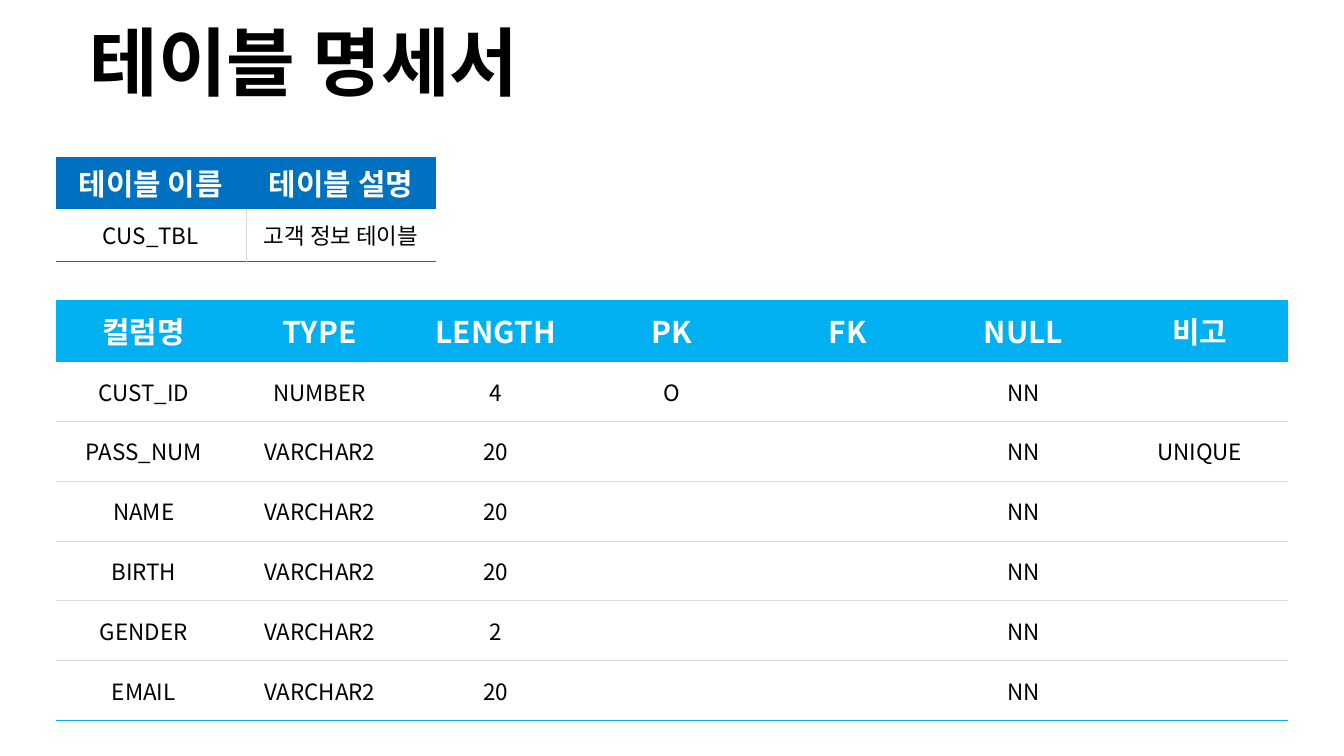
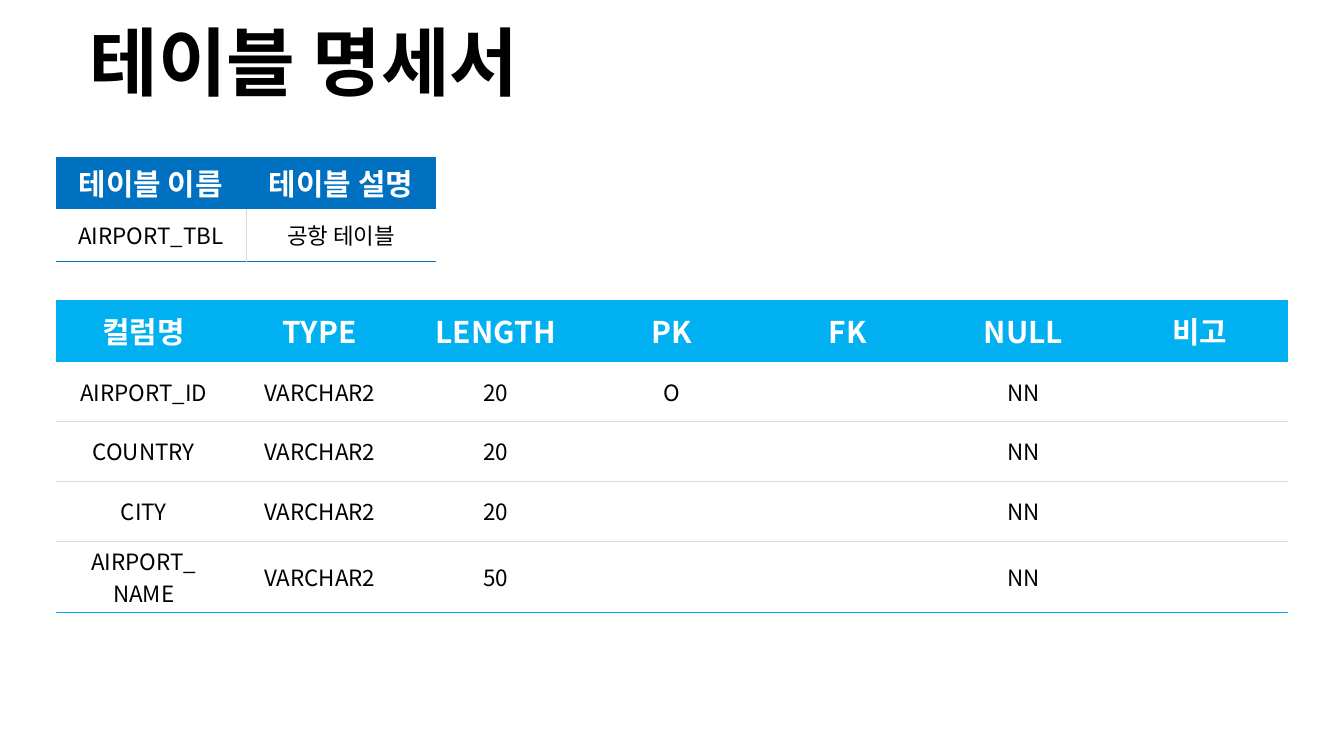
from pptx import Presentation
from pptx.dml.color import RGBColor
from pptx.enum.text import MSO_ANCHOR, MSO_AUTO_SIZE, PP_ALIGN
from pptx.oxml.ns import qn
from pptx.util import Inches, Pt
from lxml.etree import SubElement

FONT = "Noto Sans CJK KR"
COLORS = {"text": "000000", "header_text": "FFFFFF", "summary": "0070C0",
          "columns": "00B0F0", "rule": "D9D9D9"}
PLAIN_TABLE_STYLE = "{2D5ABB26-0587-4C30-8999-92F81FD0307C}"
MARGIN = 0.83
SUMMARY_HEADER = ["테이블 이름", "테이블 설명"]
COLUMN_HEADER = ["컬럼명", "TYPE", "LENGTH", "PK", "FK", "NULL", "비고"]

SPECIFICATIONS = [
    (["CUS_TBL", "고객 정보 테이블"], [
        ["CUST_ID", "NUMBER", "4", "O", "", "NN", ""],
        ["PASS_NUM", "VARCHAR2", "20", "", "", "NN", "UNIQUE"],
        ["NAME", "VARCHAR2", "20", "", "", "NN", ""],
        ["BIRTH", "VARCHAR2", "20", "", "", "NN", ""],
        ["GENDER", "VARCHAR2", "2", "", "", "NN", ""],
        ["EMAIL", "VARCHAR2", "20", "", "", "NN", ""],
    ]),
    (["AIRPORT_TBL", "공항 테이블"], [
        ["AIRPORT_ID", "VARCHAR2", "20", "O", "", "NN", ""],
        ["COUNTRY", "VARCHAR2", "20", "", "", "NN", ""],
        ["CITY", "VARCHAR2", "20", "", "", "NN", ""],
        ["AIRPORT_\nNAME", "VARCHAR2", "50", "", "", "NN", ""],
    ]),
]


def add_run(paragraph, text, size, color, bold=False):
    run = paragraph.add_run()
    run.text = text
    font = run.font
    font.size, font.bold, font.name = Pt(size), bold, FONT
    font.color.rgb = RGBColor.from_string(COLORS[color])
    SubElement(font._element, qn("a:ea"), typeface=FONT)


def add_title(slide, text):
    title = slide.shapes.title
    title.left, title.top = Inches(1.33), Inches(0.46)
    title.width, title.height = Inches(6.72), Inches(1.56)
    frame = title.text_frame
    frame.margin_left = frame.margin_right = frame.margin_top = frame.margin_bottom = 0
    frame.vertical_anchor = MSO_ANCHOR.TOP
    frame.auto_size = MSO_AUTO_SIZE.NONE
    frame.word_wrap = False
    paragraph = frame.paragraphs[0]
    paragraph.alignment = PP_ALIGN.LEFT
    paragraph.line_spacing = 0.83
    add_run(paragraph, text, 80, "text", bold=True)


def set_borders(cell, borders):
    """Draw the sides given as {side: (color, points)}; the other sides stay bare."""
    properties = cell._tc.get_or_add_tcPr()
    for side in ("L", "R", "T", "B"):
        color, width = borders.get(side, (None, 0))
        line = SubElement(properties, qn(f"a:ln{side}"), w=str(Pt(width)))
        if color:
            fill = SubElement(line, qn("a:solidFill"))
            SubElement(fill, qn("a:srgbClr"), val=COLORS[color])
        else:
            SubElement(line, qn("a:noFill"))


def fill_cell(cell, text, header_color, borders):
    set_borders(cell, borders)
    cell.vertical_anchor = MSO_ANCHOR.MIDDLE
    if header_color:
        cell.fill.solid()
        cell.fill.fore_color.rgb = RGBColor.from_string(COLORS[header_color])
    else:
        cell.fill.background()
    if not text:
        return
    frame = cell.text_frame
    for index, line in enumerate(text.split("\n")):
        paragraph = frame.add_paragraph() if index else frame.paragraphs[0]
        paragraph.alignment = PP_ALIGN.CENTER
        if header_color:
            add_run(paragraph, line, 32, "header_text", bold=True)
        else:
            add_run(paragraph, line, 24, "text")


def add_spec_table(slide, rows, top, width, header_height, row_height, accent, dividers=False):
    """Add a table with an accent header, thin row rules and an accent closing rule."""
    last_row, last_column = len(rows) - 1, len(rows[0]) - 1
    height = header_height + row_height * last_row
    table = slide.shapes.add_table(len(rows), len(rows[0]), Inches(MARGIN), Inches(top),
                                   Inches(width), Inches(height)).table
    table.first_row = table.horz_banding = False
    table._tbl.tblPr.find(qn("a:tableStyleId")).text = PLAIN_TABLE_STYLE
    for r, row in enumerate(rows):
        table.rows[r].height = Inches(row_height if r else header_height)
        for c, text in enumerate(row):
            borders = {}
            if r:
                borders["B"] = (accent, 1) if r == last_row else ("rule", 0.5)
            if r > 1:
                borders["T"] = ("rule", 0.5)
            if r and dividers:
                if c:
                    borders["L"] = ("rule", 1)
                if c < last_column:
                    borders["R"] = ("rule", 1)
            fill_cell(table.cell(r, c), text, None if r else accent, borders)


def main():
    deck = Presentation()
    deck.slide_width, deck.slide_height = Inches(20), Inches(11.25)
    title_only = deck.slide_layouts[5]
    for summary, columns in SPECIFICATIONS:
        slide = deck.slides.add_slide(title_only)
        add_title(slide, "테이블 명세서")
        add_spec_table(slide, [COLUMN_HEADER, *columns], 4.46, 18.33, 0.92, 0.89, "columns")
        add_spec_table(slide, [SUMMARY_HEADER, summary], 2.33, 5.66, 0.78, 0.78, "summary",
                       dividers=True)
    deck.save("out.pptx")


if __name__ == "__main__":
    main()
